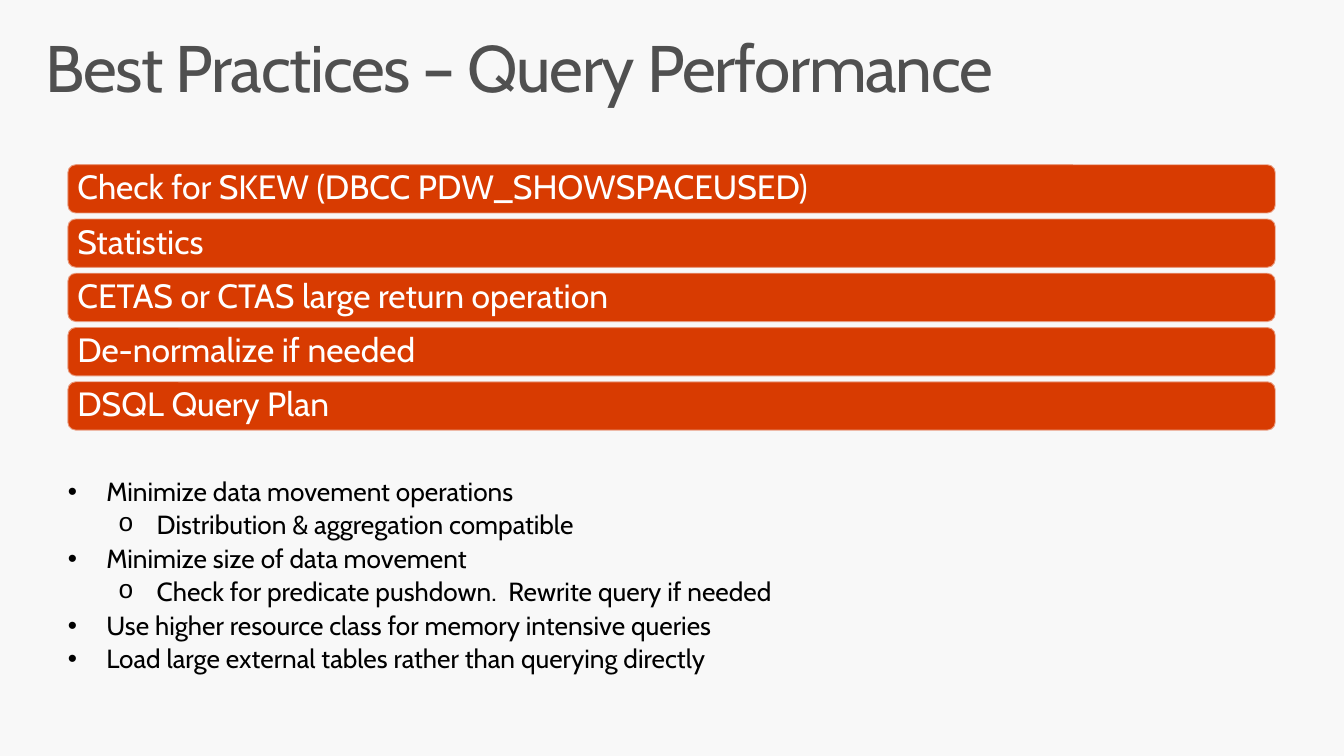
from lxml import etree
from pptx import Presentation
from pptx.dml.color import RGBColor
from pptx.enum.shapes import MSO_SHAPE
from pptx.enum.text import MSO_ANCHOR, MSO_AUTO_SIZE, PP_ALIGN
from pptx.oxml.ns import qn
from pptx.util import Cm, Pt

ROUNDED = MSO_SHAPE.ROUNDED_RECTANGLE
TOP, MIDDLE = MSO_ANCHOR.TOP, MSO_ANCHOR.MIDDLE
NO_FIT = MSO_AUTO_SIZE.NONE
LEFT = PP_ALIGN.LEFT

FONT = "Cabin"
COLORS = {
    "background": "F8F8F8",
    "title": "505050",
    "bar": "D83B01",
    "bar_line": "F9F9F9",
    "bar_text": "FFFFFF",
    "body": "000000",
}

TITLE = "Best Practices – Query Performance"
PRACTICES = [
    "Check for SKEW (DBCC PDW_SHOWSPACEUSED)",
    "Statistics",
    "CETAS or CTAS large return operation",
    "De-normalize if needed",
    "DSQL Query Plan",
]
ADVICE = [
    (0, "Minimize data movement operations"),
    (1, "Distribution & aggregation compatible"),
    (0, "Minimize size of data movement"),
    (1, "Check for predicate pushdown.  Rewrite query if needed"),
    (0, "Use higher resource class for memory intensive queries"),
    (0, "Load large external tables rather than querying directly"),
]
BULLETS = [("•", "Arial", Cm(0.97)), ("o", "Courier New", Cm(2.24))]
HANGING = Cm(0.97)

TITLE_BOX = (Cm(0.74), Cm(0.64), Cm(32.39), Cm(2.49))
BARS_BOX = (Cm(1.7), Cm(4.14), Cm(30.45), Cm(6.71))
ADVICE_BOX = (Cm(0.74), Cm(12.01), Cm(30.12), Cm(6.07))
BAR_HEIGHT = Cm(1.24)


def set_attributes(target, values):
    for name, value in values.items():
        setattr(target, name, value)


def place(shape, box):
    set_attributes(shape, dict(zip(("left", "top", "width", "height"), box)))


def format_frame(frame, anchor, left, top, right):
    set_attributes(frame, {
        "word_wrap": True,
        "auto_size": NO_FIT,
        "vertical_anchor": anchor,
        "margin_left": left,
        "margin_top": top,
        "margin_right": right,
        "margin_bottom": top,
    })


def write(paragraph, text, size, color, space_after):
    set_attributes(paragraph, {
        "alignment": LEFT,
        "line_spacing": 0.9,
        "space_before": Pt(0),
        "space_after": Pt(space_after),
    })
    run = paragraph.add_run()
    run.text = text
    set_attributes(run.font, {"name": FONT, "size": Pt(size), "bold": False})
    run.font.color.rgb = RGBColor.from_string(COLORS[color])
    return run


def add_bullet(paragraph, level):
    character, typeface, margin = BULLETS[level]
    paragraph.level = level
    properties = paragraph._p.get_or_add_pPr()
    properties.set("marL", str(margin))
    properties.set("indent", str(-HANGING))
    etree.SubElement(properties, qn("a:buFont"), typeface=typeface)
    etree.SubElement(properties, qn("a:buChar"), char=character)


def fill_title(title, box):
    place(title, box)
    frame = title.text_frame
    format_frame(frame, TOP, Cm(0.41), Cm(0.25), Cm(0.41))
    run = write(frame.paragraphs[0], TITLE, 47, "title", 0)
    run._r.get_or_add_rPr().set("spc", "-100")


def add_bar(slide, box, text):
    bar = slide.shapes.add_shape(ROUNDED, *box)
    bar.shadow.inherit = False
    bar.fill.solid()
    bar.fill.fore_color.rgb = RGBColor.from_string(COLORS["bar"])
    bar.line.width = Pt(1.35)
    bar.line.color.rgb = RGBColor.from_string(COLORS["bar_line"])
    line_color = bar.line._ln.find(".//" + qn("a:srgbClr"))
    etree.SubElement(line_color, qn("a:alpha"), val="50000")
    frame = bar.text_frame
    format_frame(frame, MIDDLE, Cm(0.19), Cm(0.19), Cm(0.19))
    write(frame.paragraphs[0], text, 24, "bar_text", 8.4)


def add_bars(slide, box):
    left, top, width, height = box
    pitch = (height - BAR_HEIGHT) / (len(PRACTICES) - 1)
    for index, practice in enumerate(PRACTICES):
        bar_top = round(top + index * pitch)
        add_bar(slide, (left, bar_top, width, BAR_HEIGHT), practice)


def fill_advice(body, box):
    place(body, box)
    frame = body.text_frame
    format_frame(frame, TOP, Cm(0.97), Cm(0.05), Cm(0.33))
    for index, (level, text) in enumerate(ADVICE):
        paragraph = frame.add_paragraph() if index else frame.paragraphs[0]
        add_bullet(paragraph, level)
        write(paragraph, text, 18.7, "body", 3.7)


def main():
    presentation = Presentation()
    presentation.slide_width = Cm(33.87)
    presentation.slide_height = Cm(19.05)
    slide = presentation.slides.add_slide(presentation.slide_layouts[1])
    background = slide.background.fill
    background.solid()
    background.fore_color.rgb = RGBColor.from_string(COLORS["background"])
    fill_title(slide.shapes.title, TITLE_BOX)
    add_bars(slide, BARS_BOX)
    fill_advice(slide.placeholders[1], ADVICE_BOX)
    presentation.save("out.pptx")


if __name__ == "__main__":
    main()
